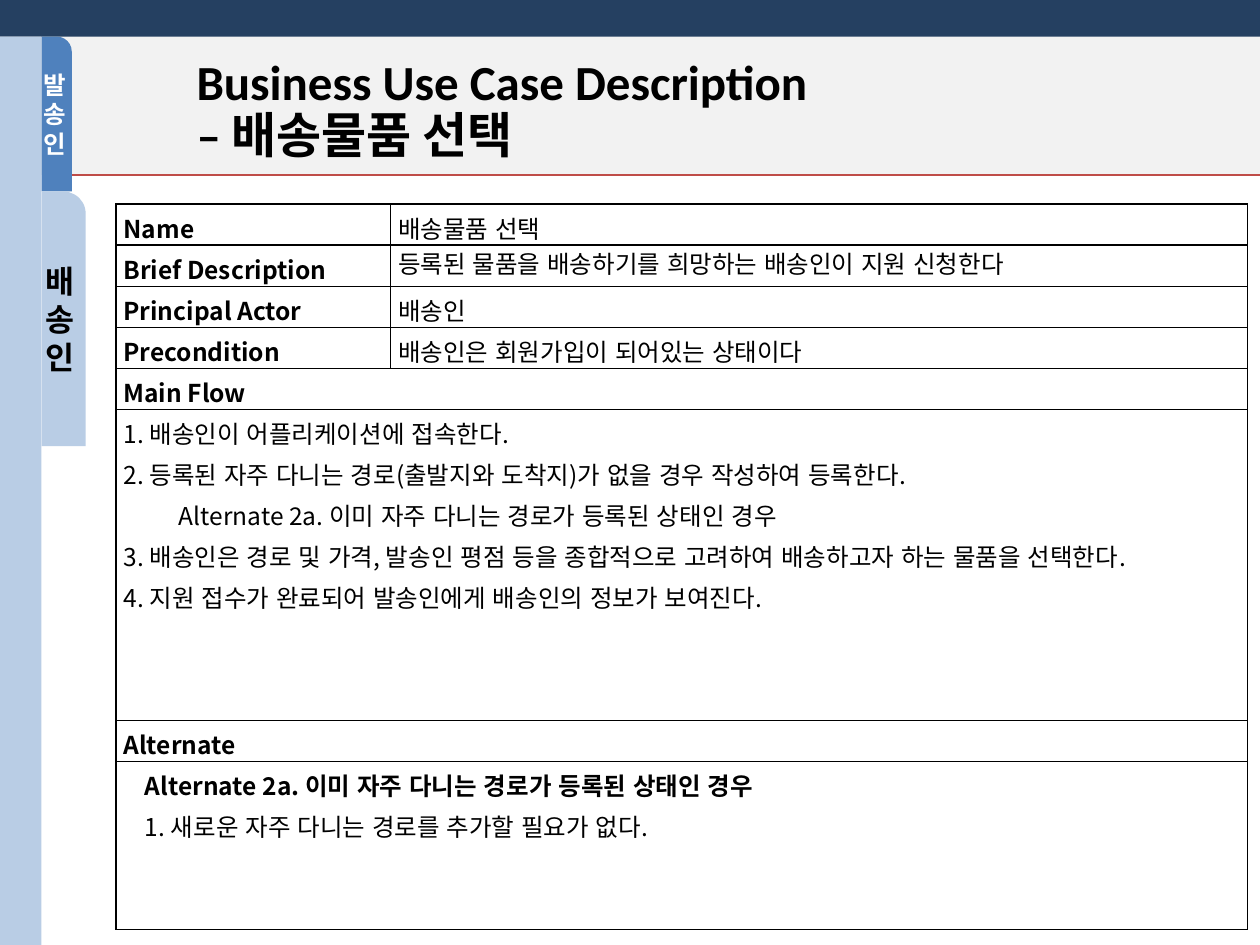
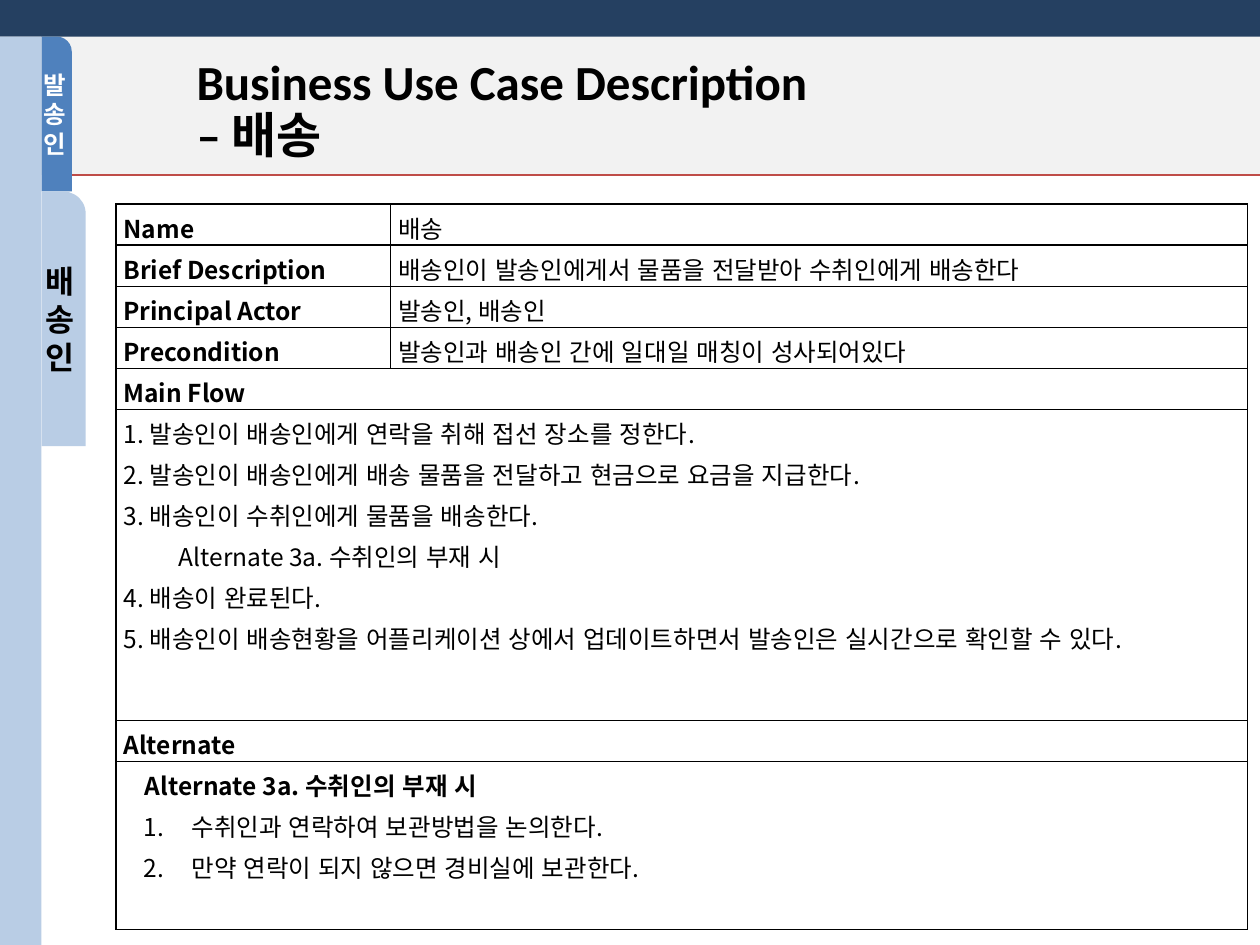
"""Build two business use case slides with a shared frame and a form table."""
from lxml import etree
from pptx import Presentation
from pptx.dml.color import RGBColor
from pptx.enum.lang import MSO_LANGUAGE_ID
from pptx.enum.shapes import MSO_CONNECTOR, MSO_SHAPE
from pptx.enum.text import MSO_ANCHOR, MSO_AUTO_SIZE, PP_ALIGN
from pptx.oxml.ns import qn
from pptx.util import Inches, Pt

RECT, TAB = MSO_SHAPE.RECTANGLE, MSO_SHAPE.ROUND_1_RECTANGLE
LINE = MSO_CONNECTOR.STRAIGHT
MID, FIXED = MSO_ANCHOR.MIDDLE, MSO_AUTO_SIZE.NONE
LEFT, CENTER, JUST = PP_ALIGN.LEFT, PP_ALIGN.CENTER, PP_ALIGN.JUSTIFY
KOREAN = MSO_LANGUAGE_ID.KOREAN

BLACK = RGBColor(0x00, 0x00, 0x00)
WHITE = RGBColor(0xFF, 0xFF, 0xFF)
GRAY = RGBColor(0xF2, 0xF2, 0xF2)
NAVY = RGBColor(0x25, 0x40, 0x61)
BLUE = RGBColor(0x4F, 0x81, 0xBD)
PALE = RGBColor(0xB9, 0xCD, 0xE5)
RED = RGBColor(0xBF, 0x4C, 0x48)

HEAD, BODY = "Calibri", "Noto Sans CJK KR"
FIELDS = ["Name", "Brief Description", "Principal Actor", "Precondition"]
INDENT = {"step": (0, 0), "sub": (0.44, 0), "alt": (0.17, 0), "list": (0.54, -0.38)}

CASES = [
    {
        "name": "배송물품 선택",
        "values": [
            "배송물품 선택",
            "등록된 물품을 배송하기를 희망하는 배송인이 지원 신청한다",
            "배송인",
            "배송인은 회원가입이 되어있는 상태이다",
        ],
        "tight": ["Brief Description"],
        "flow": [
            ("step", "1. 배송인이 어플리케이션에 접속한다."),
            ("step", "2. 등록된 자주 다니는 경로(출발지와 도착지)가 없을 경우 작성하여 등록한다."),
            ("sub", "Alternate 2a. 이미 자주 다니는 경로가 등록된 상태인 경우"),
            ("step", "3. 배송인은 경로 및 가격, 발송인 평점 등을 종합적으로 고려하여 "
                     "배송하고자 하는 물품을 선택한다."),
            ("step", "4. 지원 접수가 완료되어 발송인에게 배송인의 정보가 보여진다."),
        ],
        "case": "Alternate 2a. 이미 자주 다니는 경로가 등록된 상태인 경우",
        "other": [("alt", "1. 새로운 자주 다니는 경로를 추가할 필요가 없다.")],
    },
    {
        "name": "배송",
        "values": [
            "배송",
            "배송인이 발송인에게서 물품을 전달받아 수취인에게 배송한다",
            "발송인, 배송인",
            "발송인과 배송인 간에 일대일 매칭이 성사되어있다",
        ],
        "tight": [],
        "flow": [
            ("step", "1. 발송인이 배송인에게 연락을 취해 접선 장소를 정한다."),
            ("step", "2. 발송인이 배송인에게 배송 물품을 전달하고 현금으로 요금을 지급한다."),
            ("step", "3. 배송인이 수취인에게 물품을 배송한다."),
            ("sub", "Alternate 3a. 수취인의 부재 시"),
            ("step", "4. 배송이 완료된다."),
            ("step", "5. 배송인이 배송현황을 어플리케이션 상에서 업데이트하면서 "
                     "발송인은 실시간으로 확인할 수 있다."),
        ],
        "case": "Alternate 3a. 수취인의 부재 시",
        "other": [
            ("list", "수취인과 연락하여 보관방법을 논의한다."),
            ("list", "만약 연락이 되지 않으면 경비실에 보관한다."),
        ],
    },
]

WIDE, HIGH = 10, 7.5
TOP, BASE = 0.29, 1.39
SIDE = 0.33
ROW, FLOW, OTHER = 0.29, 2.47, 1.33
COLS = [2.18, 6.8]
ROWS = [ROW] * 5 + [FLOW, ROW, OTHER]

BANDS = [
    (RECT, (0, 0, WIDE, BASE), GRAY, None),
    (RECT, (0, 0, WIDE, TOP), NAVY, None),
    (RECT, (0, TOP, SIDE, HIGH - TOP), PALE, None),
    (TAB, (SIDE, TOP, 0.24, 1.23), BLUE, ("발송인", 14, WHITE)),
    (TAB, (SIDE, TOP + 1.23, 0.35, 2.02), PALE, ("배송인", 18, BLACK)),
]


def box(*sizes):
    return [Inches(size) for size in sizes]


def style(para, size, color, bold, face=BODY):
    for run in para.runs:
        font = run.font
        font.size, font.bold, font.name = Pt(size), bold, face
        font.color.rgb, font.language_id = color, KOREAN
        east = etree.SubElement(run._r.get_or_add_rPr(), qn("a:ea"))
        east.set("typeface", face)


def band(slide, kind, place, color, label):
    shape = slide.shapes.add_shape(kind, *box(*place))
    shape.shadow.inherit = False
    shape.fill.solid()
    shape.fill.fore_color.rgb = color
    shape.line.fill.background()
    if kind == TAB:
        shape.adjustments[0] = 0.5
    if label:
        text, size, ink = label
        frame = shape.text_frame
        frame.word_wrap, frame.vertical_anchor = True, MID
        frame.margin_left = frame.margin_right = 0
        frame.text = text
        frame.paragraphs[0].alignment = CENTER
        style(frame.paragraphs[0], size, ink, True)


def rule(slide):
    line = slide.shapes.add_connector(LINE, *box(0.57, BASE, WIDE, BASE))
    line.line.color.rgb, line.line.width = RED, Pt(0.75)
    etree.SubElement(line._element.spPr, qn("a:effectLst"))


def head(slide, name):
    title = slide.shapes.title
    title.element.getparent().append(title.element)
    title.left, title.top, title.width, title.height = box(1.46, 0.46, 6.75, 0.85)
    frame = title.text_frame
    frame.text = f"Business Use Case Description \v– {name}"
    frame.vertical_anchor, frame.auto_size = MID, FIXED
    para = frame.paragraphs[0]
    para.alignment, para.line_spacing = LEFT, 0.9
    style(para, 28, BLACK, True, HEAD)


def edge(cell):
    props = cell._tc.get_or_add_tcPr()
    for spot, side in enumerate(("lnL", "lnR", "lnT", "lnB")):
        line = etree.Element(qn(f"a:{side}"), w=str(Pt(1)))
        fill = etree.SubElement(line, qn("a:solidFill"))
        etree.SubElement(fill, qn("a:srgbClr"), val=str(BLACK))
        props.insert(spot, line)


def write(cell, lines, tight=False):
    frame = cell.text_frame
    frame.text = "\n".join(text for kind, text, bold in lines)
    for para, (kind, text, bold) in zip(frame.paragraphs, lines):
        para.alignment = LEFT if tight else JUST
        para.line_spacing = 1.0 if tight else 1.15
        style(para, 14, BLACK, bold)
        props = para._p.get_or_add_pPr()
        left, hang = box(*INDENT[kind])
        props.set("marL", str(left))
        props.set("indent", str(hang))
        if kind == "list":
            etree.SubElement(props, qn("a:buAutoNum"), type="arabicPeriod")


def form(slide, case):
    area = box(0.92, 1.62, sum(COLS), sum(ROWS))
    table = slide.shapes.add_table(len(ROWS), len(COLS), *area).table
    table.first_row = table.horz_banding = False
    for col, width in zip(table.columns, COLS):
        col.width = Inches(width)
    for row, height in zip(table.rows, ROWS):
        row.height = Inches(height)
    for cell in table.iter_cells():
        cell.margin_left = cell.margin_right = Inches(0.06)
        cell.margin_top = cell.margin_bottom = 0
        cell.fill.solid()
        cell.fill.fore_color.rgb = WHITE
        edge(cell)
    for row, (field, value) in enumerate(zip(FIELDS, case["values"])):
        write(table.cell(row, 0), [("step", field, True)])
        write(table.cell(row, 1), [("step", value, False)], field in case["tight"])
    parts = [
        [("step", "Main Flow", True)],
        [(kind, text, False) for kind, text in case["flow"]],
        [("step", "Alternate", True)],
        [("alt", case["case"], True)]
        + [(kind, text, False) for kind, text in case["other"]],
    ]
    for row, lines in enumerate(parts, len(FIELDS)):
        table.cell(row, 0).merge(table.cell(row, 1))
        write(table.cell(row, 0), lines)


def main():
    deck = Presentation()
    deck.slide_width, deck.slide_height = box(WIDE, HIGH)
    for case in CASES:
        slide = deck.slides.add_slide(deck.slide_layouts[5])
        for part in BANDS:
            band(slide, *part)
        rule(slide)
        head(slide, case["name"])
        form(slide, case)
    deck.save("out.pptx")


if __name__ == "__main__":
    main()
